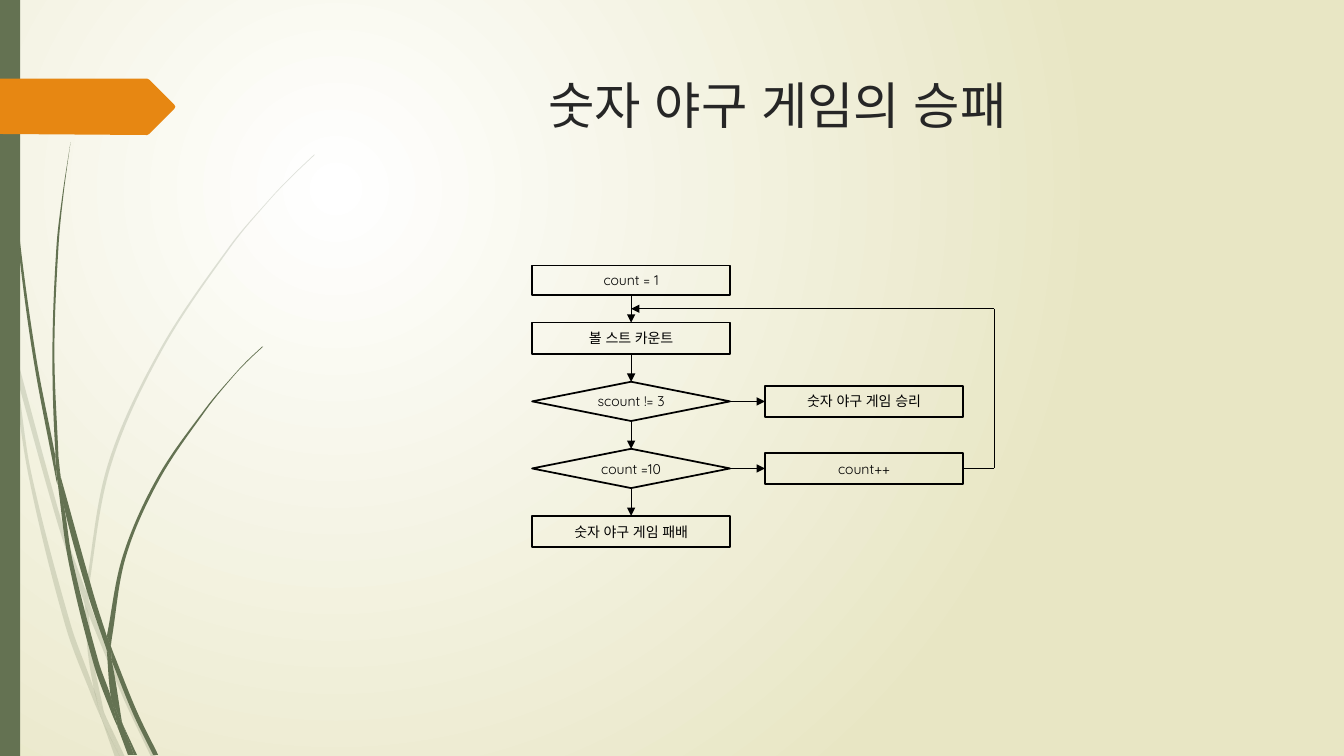
from math import dist
from lxml import etree
from pptx import Presentation
from pptx.dml.color import RGBColor
from pptx.enum import shapes, text
from pptx.oxml.ns import qn
from pptx.util import Cm, Pt

FONT = "Quicksand"
BLACK = RGBColor(0, 0, 0)
DARK = RGBColor(0x26, 0x26, 0x26)
GREEN = RGBColor(0x64, 0x72, 0x52)
ORANGE = RGBColor(0xE7, 0x87, 0x12)
WHITE = RGBColor(0xFF, 0xFF, 0xFF)
CREAM = RGBColor(0xE8, 0xE6, 0xC4)
RECTANGLE = shapes.MSO_SHAPE.RECTANGLE
DIAMOND = shapes.MSO_SHAPE.DIAMOND
TOP, LEFT, BOTTOM, RIGHT = range(4)  # connection sites

# Content
TITLE = "숫자 야구 게임의 승패"
STEPS = [  # kind, text, height, text of the box to the right
    (RECTANGLE, "count = 1", 0.74, None),
    (RECTANGLE, "볼 스트 카운트", 0.79, None),
    (DIAMOND, "scount != 3", 0.99, "숫자 야구 게임 승리"),
    (DIAMOND, "count =10", 0.99, "count++"),
    (RECTANGLE, "숫자 야구 게임 패배", 0.79, None),
]
# Grass blades: two smooth edges each, in hundredths of an inch
OUTLINE_UNIT = Cm(2.54) / 100
PALE_BLADES = [
    ([(11, 350), (9, 322), (0, 282)], [(0, 299), (10, 344), (11, 350)]),
    ([(17, 376), (58, 522), (84, 599)], [(85, 586), (62, 520), (14, 345)]),
    ([(88, 596), (92, 607), (127, 692), (155, 751)], [(150, 751), (123, 694), (88, 610)]),
    ([(105, 711), (124, 751)], [(119, 751)]),
    ([(11, 350), (28, 470), (65, 621), (92, 693), (101, 714)],
     [(99, 707), (93, 683), (70, 619), (31, 469), (17, 376), (11, 350)]),
    ([(84, 599), (87, 646), (93, 683), (96, 692), (105, 711)],
     [(103, 706), (91, 646), (88, 610), (84, 599)]),
    ([(312, 153), (289, 175), (268, 197), (228, 244), (158, 348), (107, 461), (85, 584), (85, 586)],
     [(88, 596), (88, 584), (110, 462), (160, 349), (229, 245), (268, 198), (290, 175), (312, 154)]),
    ([(101, 714), (114, 751)], [(119, 751), (101, 714)]),
    ([(85, 586), (84, 599)], [(88, 610), (88, 596)]),
    ([(93, 683), (99, 707), (101, 714), (119, 751)], [(105, 711), (96, 692), (93, 683)]),
]
DARK_BLADES = [
    ([(3, 0), (4, 48), (7, 110), (17, 233), (33, 355), (56, 477), (57, 481)],
     [(55, 457), (55, 453), (36, 355), (19, 232), (8, 109), (5, 48), (4, 0)]),
    ([(60, 472), (64, 505), (88, 592), (106, 645)], [(106, 631), (93, 590), (60, 472)]),
    ([(110, 641), (113, 649), (136, 706), (157, 749)], [(152, 749), (132, 708), (111, 656)]),
    ([(57, 477), (68, 557), (93, 659), (111, 708), (117, 722)],
     [(116, 717), (110, 691), (98, 657), (72, 556), (64, 505), (57, 477)]),
    ([(70, 141), (62, 193), (56, 245), (52, 349), (55, 449), (60, 472)],
     [(58, 453), (54, 349), (58, 245), (63, 193), (70, 141)]),
    ([(122, 719), (136, 749)], [(133, 749)]),
    ([(55, 449), (55, 453), (57, 477), (64, 505)], [(60, 472), (55, 449)]),
    ([(260, 344), (245, 358), (231, 373), (204, 405), (156, 474), (122, 551), (106, 631)],
     [(110, 641), (111, 633), (125, 552), (158, 476), (205, 406), (231, 374), (245, 359), (261, 344)]),
    ([(117, 722), (127, 749)], [(131, 749), (117, 722)]),
    ([(106, 645), (110, 691), (116, 706), (122, 719)], [(121, 716), (111, 656), (106, 645)]),
    ([(106, 631), (106, 645)], [(111, 656), (110, 641), (106, 631)]),
    ([(110, 691), (116, 717), (117, 722), (130, 749)], [(133, 749), (122, 719), (116, 706), (110, 691)]),
]
TAB_CORNERS = [(0, 78), (146, 78), (148, 79), (173, 104), (174, 106),
               (173, 108), (148, 133), (146, 134), (0, 133)]

# Flowchart measures in cm
COLUMN_LEFT, BOX_WIDTH, COLUMN_GAP = 13.41, 4.99, 0.88
FIRST_TOP, ROW_GAP, SIDE_HEIGHT = 6.69, 0.7, 0.79
LOOP_MARGIN = 0.79

presentation = Presentation()
presentation.slide_width, presentation.slide_height = Cm(33.87), Cm(19.05)
slide = presentation.slides.add_slide(presentation.slide_layouts[5])


def format_text(shape, content, size, color, anchor):
    frame = shape.text_frame
    frame.text = content
    frame.word_wrap = True
    frame.auto_size = text.MSO_AUTO_SIZE.NONE
    frame.vertical_anchor = anchor
    paragraph = frame.paragraphs[0]
    paragraph.alignment = text.PP_ALIGN.CENTER
    run = paragraph.runs[0]
    run.font.name, run.font.size, run.font.color.rgb = FONT, Pt(size), color
    etree.SubElement(run.font._element, qn("a:ea"), typeface=FONT)


def paint(shape, color, alpha=None):
    shape.shadow.inherit = False
    shape.fill.solid()
    shape.fill.fore_color.rgb = color
    shape.line.fill.background()
    if alpha:
        rgb = shape.fill._xPr.find(qn("a:solidFill"))[0]
        etree.SubElement(rgb, qn("a:alpha"), val=str(alpha * 1000))


def edge_handles(edge):
    """Two Bezier handles for each segment of a smooth edge."""
    padded = [edge[0], *edge, edge[-1]]
    for before, start, end, after in zip(padded, padded[1:], padded[2:], padded[3:]):
        reach = dist(start, end) / 3
        leave, arrive = reach / dist(before, end), reach / dist(start, after)
        yield ([s + (e - b) * leave for b, s, e in zip(before, start, end)],
               [e - (a - s) * arrive for s, e, a in zip(start, end, after)])


def add_outline(edges, color, alpha=None):
    edges = [[(x * OUTLINE_UNIT, y * OUTLINE_UNIT) for x, y in edge] for edge in edges]
    points = [point for edge in edges for point in edge]
    builder = slide.shapes.build_freeform(*points[0])
    builder.add_line_segments(points[1:])
    shape = builder.convert_to_shape()
    handles = []
    for edge in edges:
        handles += [*edge_handles(edge), None]  # a straight step joins two edges
    for segment, pair in zip(list(shape._element.iter(qn("a:lnTo"))), handles):
        if pair:
            segment.tag = qn("a:cubicBezTo")
            for position, (x, y) in enumerate(pair):
                segment.insert(position, segment.makeelement(
                    qn("a:pt"), x=str(round(x - shape.left)), y=str(round(y - shape.top))))
    paint(shape, color, alpha)


def add_box(kind, content, left, top, height):
    box = slide.shapes.add_shape(kind, Cm(left), Cm(top), Cm(BOX_WIDTH), Cm(height))
    box.shadow.inherit = False
    box.fill.background()
    box.line.color.rgb, box.line.width = BLACK, Pt(1.25)
    format_text(box, content, 10, BLACK, text.MSO_ANCHOR.MIDDLE)
    frame = box.text_frame
    frame.margin_left = frame.margin_right = frame.margin_top = frame.margin_bottom = 0
    return box


def add_line(start, end, arrow=True):
    line = slide.shapes.add_connector(shapes.MSO_CONNECTOR.STRAIGHT, *start, *end)
    line.line.color.rgb, line.line.width = BLACK, Pt(0.75)
    if arrow:
        etree.SubElement(line.line._get_or_add_ln(), qn("a:tailEnd"), type="triangle")
    etree.SubElement(line._element.spPr, qn("a:effectLst"))
    return line


def join(first, first_site, second, second_site):
    line = add_line((0, 0), (0, 0))
    line.begin_connect(first, first_site)
    line.end_connect(second, second_site)


# Background glow
background = slide.background.fill
background.gradient()
for stop, color in zip(background.gradient_stops, (WHITE, CREAM)):
    stop.color.rgb = color
gradient = slide.element.find(".//" + qn("a:gradFill"))
gradient.remove(gradient.find(qn("a:lin")))
glow = etree.SubElement(gradient, qn("a:path"), {"path": "circle"})
etree.SubElement(glow, qn("a:fillToRect"), l="50000", t="50000", r="100000", b="100000")

# Grass, side bar and arrow tab
for blades, alpha in ((PALE_BLADES, 20), (DARK_BLADES, None)):
    for blade in blades:
        add_outline(blade, GREEN, alpha)
side_bar = slide.shapes.add_shape(RECTANGLE, 0, 0, Cm(0.51), presentation.slide_height)
paint(side_bar, GREEN)
add_outline([[corner] for corner in TAB_CORNERS], ORANGE)

# Title
title = slide.shapes.title
title.left, title.top, title.width, title.height = Cm(7.21), Cm(1.73), Cm(24.77), Cm(3.56)
format_text(title, TITLE, 36, DARK, text.MSO_ANCHOR.TOP)

# Flowchart boxes
steps, sides = [], []
top = FIRST_TOP
for kind, content, height, side_text in STEPS:
    steps.append(add_box(kind, content, COLUMN_LEFT, top, height))
    if side_text:
        side_left = COLUMN_LEFT + BOX_WIDTH + COLUMN_GAP
        side_top = top + (height - SIDE_HEIGHT) / 2
        sides.append((steps[-1], add_box(RECTANGLE, side_text, side_left, side_top, SIDE_HEIGHT)))
    top += height + ROW_GAP

# Arrows between boxes
for upper, lower in zip(steps, steps[1:]):
    join(upper, BOTTOM, lower, TOP)
for decision, side in sides:
    join(decision, RIGHT, side, LEFT)

# Loop from the counter back to the first arrow
counter = sides[-1][1]
counter_right = counter.left + counter.width
loop_right = counter_right + Cm(LOOP_MARGIN)
counter_middle = counter.top + counter.height // 2
loop_top = steps[1].top - Cm(ROW_GAP) // 2
column_center = steps[0].left + steps[0].width // 2
corners = [(counter_right, counter_middle), (loop_right, counter_middle),
           (loop_right, loop_top), (column_center, loop_top)]
for start, end in zip(corners, corners[1:]):
    add_line(start, end, arrow=end == corners[-1])

presentation.save("out.pptx")
